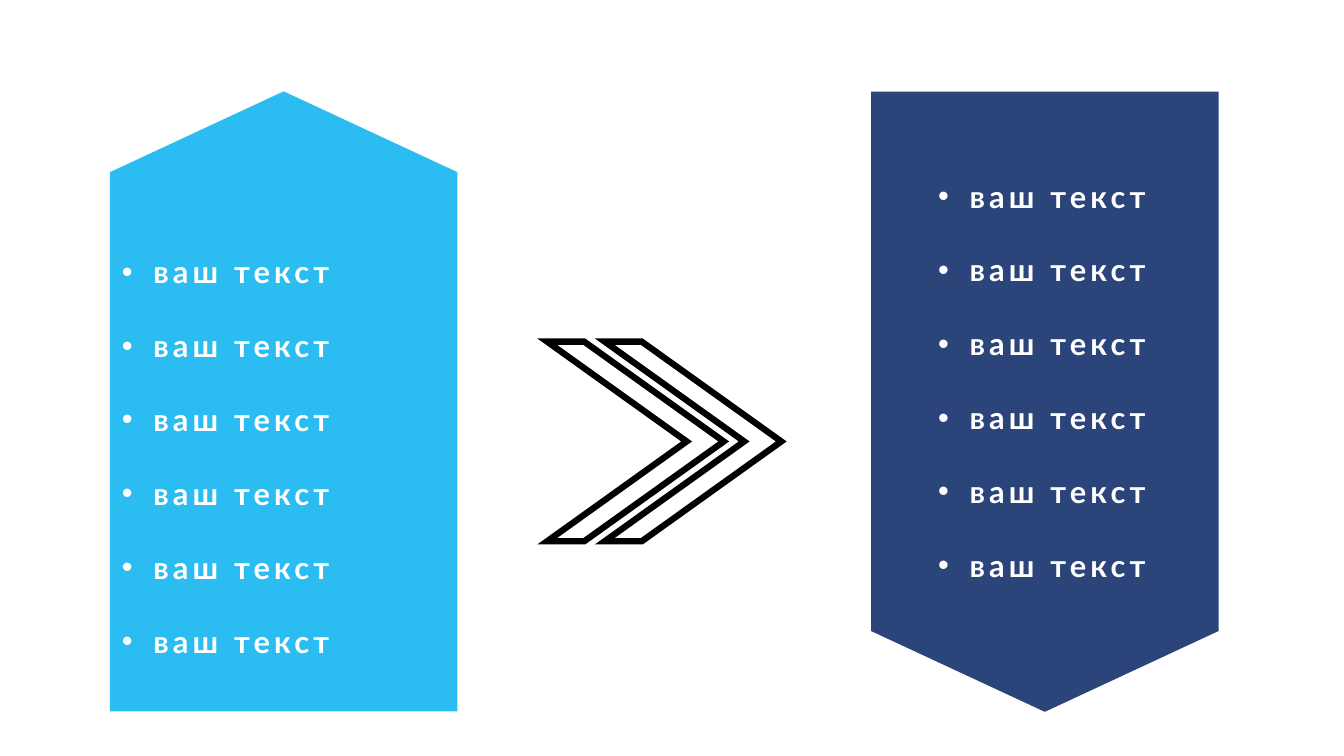
"""Build a slide with two arrow-shaped list panels joined by a double chevron."""
from dataclasses import dataclass

import pptx
import pptx.dml.color
import pptx.enum.shapes
import pptx.enum.text
import pptx.oxml.ns
import pptx.oxml.xmlchemy
import pptx.util
from lxml import etree

Cm = pptx.util.Cm
Pt = pptx.util.Pt
SHAPES = pptx.enum.shapes.MSO_SHAPE
COLOURS = {"sky": "00B0F0", "navy": "002060", "white": "FFFFFF", "black": "000000"}
ITEMS = ["ваш текст"] * 6
FONT_FORMAT = {"name": "Lato", "size": Pt(22), "bold": True}
PARA_FORMAT = {"line_spacing": 1.0, "space_after": Pt(0),
               "alignment": pptx.enum.text.PP_ALIGN.LEFT}
FRAME_FORMAT = {"word_wrap": True,
                "auto_size": pptx.enum.text.MSO_AUTO_SIZE.NONE,
                "vertical_anchor": pptx.enum.text.MSO_ANCHOR.TOP}
TOP, PANEL_WIDTH, BODY_HEIGHT, TIP_HEIGHT = 2.31, 8.76, 13.59, 2.03
LIST_WIDTH, LIST_HEIGHT, INDENT = 8.64, 10.59, 0.79
CHEVRON_LEFTS = (13.79, 15.24)


@dataclass(frozen=True)
class Panel:
    left: float
    colour: str
    points_up: bool
    list_left: float
    list_top: float

    @property
    def body_top(self) -> float:
        return TOP + TIP_HEIGHT if self.points_up else TOP

    @property
    def tip_top(self) -> float:
        return TOP if self.points_up else TOP + BODY_HEIGHT


PANELS = (
    Panel(2.77, "sky", True, 2.82, 6.25),
    Panel(21.95, "navy", False, 23.39, 4.34),
)


def rgb(name: str) -> pptx.dml.color.RGBColor:
    return pptx.dml.color.RGBColor.from_string(COLOURS[name])


def set_all(target, values: dict) -> None:
    for name, value in values.items():
        setattr(target, name, value)


def add_child(parent, tag: str, **attributes: str):
    return etree.SubElement(parent, pptx.oxml.ns.qn(tag), attributes)


def add_block(group, kind, left: float, top: float, width: float, height: float,
              colour: str):
    block = group.shapes.add_shape(kind, Cm(left), Cm(top), Cm(width), Cm(height))
    block.shadow.inherit = False
    block.fill.solid()
    block.fill.fore_color.rgb = rgb(colour)
    return block


def draw_chevrons(page) -> None:
    group = page.shapes.add_group_shape()
    for left in CHEVRON_LEFTS:
        chevron = add_block(group, SHAPES.CHEVRON, left, 8.61, 4.45, 5.03, "white")
        chevron.adjustments[0] = 0.79
        chevron.line.color.rgb = rgb("black")
        chevron.line.width = Pt(4.5)
        outline = chevron.element.spPr.find(pptx.oxml.ns.qn("a:ln"))
        add_child(outline, "a:miter", lim="800000")


def draw_panel(page, panel: Panel) -> None:
    group = page.shapes.add_group_shape()
    body = add_block(group, SHAPES.RECTANGLE, panel.left, panel.body_top,
                     PANEL_WIDTH, BODY_HEIGHT, panel.colour)
    tip = add_block(group, SHAPES.TRAPEZOID, panel.left, panel.tip_top,
                    PANEL_WIDTH, TIP_HEIGHT, panel.colour)
    tip.adjustments[0] = 2.15
    for block in (body, tip):
        block.rotation = 0 if panel.points_up else 180
        block.line.fill.background()
        tint = block.element.spPr.find(".//" + pptx.oxml.ns.qn("a:srgbClr"))
        add_child(tint, "a:alpha", val="83000")


def fill_list(page, box, panel: Panel) -> None:
    set_all(box, {"left": Cm(panel.list_left), "top": Cm(panel.list_top),
                  "width": Cm(LIST_WIDTH), "height": Cm(LIST_HEIGHT)})
    frame = box.text_frame
    set_all(frame, FRAME_FORMAT)
    for index, item in enumerate(ITEMS):
        para = frame.paragraphs[0] if index == 0 else frame.add_paragraph()
        layout = para._p.get_or_add_pPr()
        layout.set("marL", str(Cm(INDENT)))
        layout.set("indent", str(-Cm(INDENT)))
        add_child(layout, "a:buFont", typeface="Arial")
        add_child(layout, "a:buChar", char="•")
        set_all(para, PARA_FORMAT)
        para.space_before = Pt(26.4 if index else 0)
        span = para.add_run()
        span.text = item
        set_all(span.font, FONT_FORMAT)
        span.font.color.rgb = rgb("white")
        span._r.get_or_add_rPr().set("spc", "300")
    page.shapes.element.append(box.element)


def main() -> None:
    deck = pptx.Presentation()
    set_all(deck, {"slide_width": Cm(33.87), "slide_height": Cm(19.05)})
    page = deck.slides.add_slide(deck.slide_layouts.get_by_name("Two Content"))
    title, *boxes = page.placeholders
    title.element.getparent().remove(title.element)
    draw_chevrons(page)
    for panel in PANELS:
        draw_panel(page, panel)
    for box, panel in zip(boxes, PANELS):
        fill_list(page, box, panel)
    deck.save("out.pptx")


if __name__ == "__main__":
    main()
